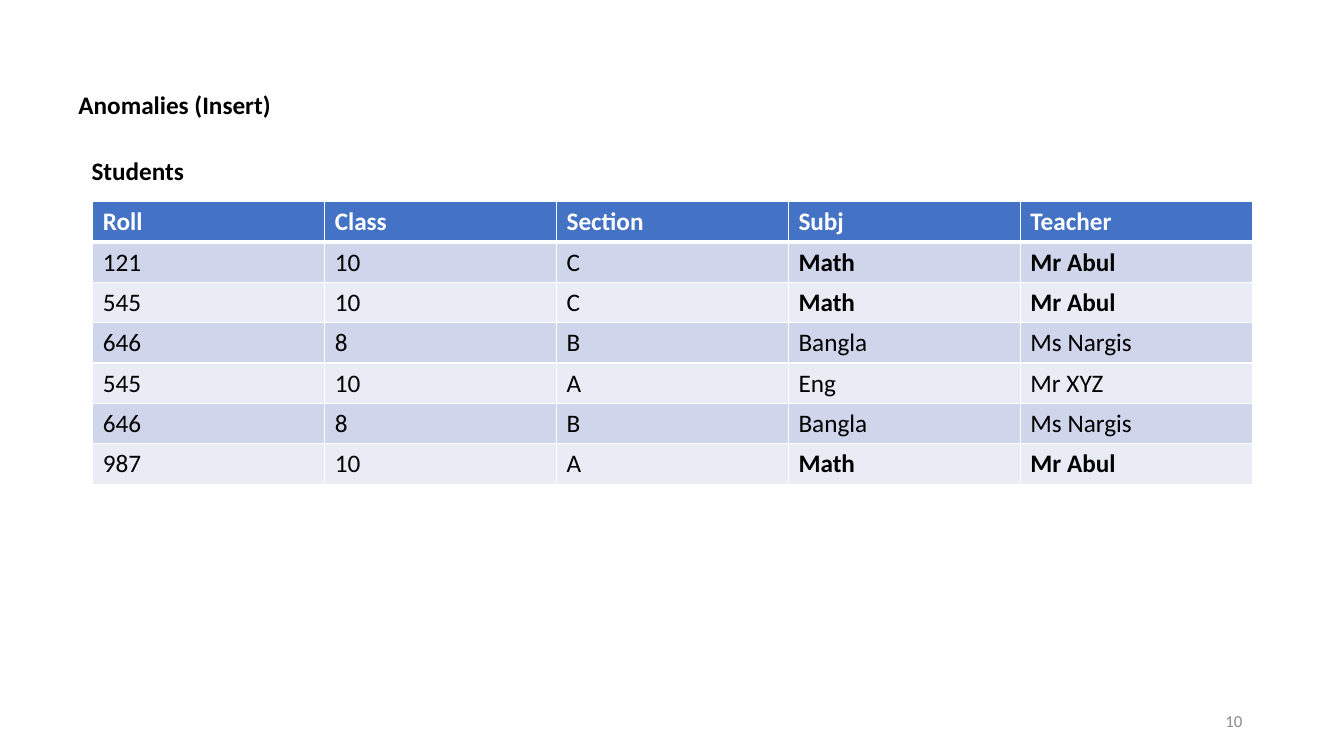
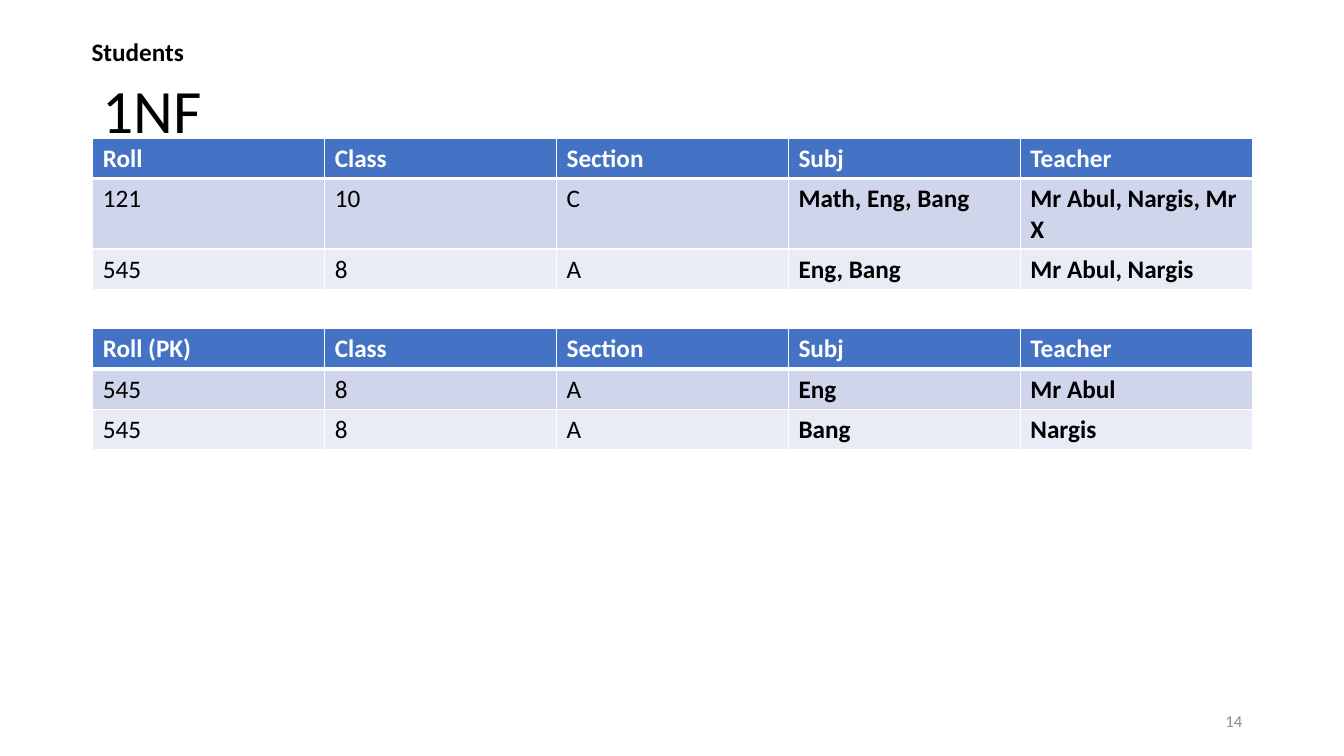
from pptx import Presentation
from pptx.dml.color import RGBColor
from pptx.enum.text import MSO_ANCHOR, PP_ALIGN
from pptx.oxml import parse_xml
from pptx.oxml.ns import nsdecls
from pptx.util import Inches, Pt

FONT = "Calibri"
BLACK, WHITE, GRAY = "000000", "FFFFFF", "8C8C8C"
HEAD, BANDS = "4472C4", ("CFD5EA", "E9EBF5")
LEFT, WIDTH, ROW = 0.92, 11.5, 0.4
FIELDS = ("Roll", "Class", "Section", "Subj", "Teacher")


def write(frame, text, size=18, color=BLACK, bold=False):
    para = frame.paragraphs[0]
    run = para.add_run()
    run.text = text
    font = run.font
    font.name, font.size, font.bold = FONT, Pt(size), bold
    font.color.rgb = RGBColor.from_string(color)
    return para


def grid(slide, top, rows, strong):
    """Add a banded table; subject and teacher are bold in the strong rows."""
    count = len(rows[0])
    table = slide.shapes.add_table(
        len(rows), count, Inches(LEFT), Inches(top),
        Inches(WIDTH), Inches(ROW * len(rows))).table
    for column in table.columns:
        column.width = Inches(WIDTH / count)
    for r, row in enumerate(rows):
        table.rows[r].height = Inches(ROW)
        for c, text in enumerate(row):
            cell = table.cell(r, c)
            edges = {"L": 1, "R": 1, "T": 3 if r == 1 else 1, "B": 3 if r == 0 else 1}
            for side, points in edges.items():
                cell._tc.get_or_add_tcPr().append(parse_xml(
                    f'<a:ln{side} {nsdecls("a")} w="{Pt(points)}"><a:solidFill>'
                    f'<a:srgbClr val="{WHITE}"/></a:solidFill></a:ln{side}>'))
            cell.fill.solid()
            shade = HEAD if r == 0 else BANDS[(r - 1) % 2]
            cell.fill.fore_color.rgb = RGBColor.from_string(shade)
            write(cell.text_frame, text, color=WHITE if r == 0 else BLACK,
                  bold=r == 0 or (r in strong and c >= 3))


students = [
    FIELDS,
    ("121", "10", "C", "Math", "Mr Abul"),
    ("545", "10", "C", "Math", "Mr Abul"),
    ("646", "8", "B", "Bangla", "Ms Nargis"),
    ("545", "10", "A", "Eng", "Mr XYZ"),
    ("646", "8", "B", "Bangla", "Ms Nargis"),
    ("987", "10", "A", "Math", "Mr Abul"),
]
lists = [
    FIELDS,
    ("121", "10", "C", "Math, Eng, Bang", "Mr Abul, Nargis, Mr X"),
    ("545", "8", "A", "Eng, Bang", "Mr Abul, Nargis"),
]
atoms = [
    ("Roll (PK)", *FIELDS[1:]),
    ("545", "8", "A", "Eng", "Mr Abul"),
    ("545", "8", "A", "Bang", "Nargis"),
]

# Each page: number, labels (text, left, top), title, tables (top, rows, bold rows)
pages = [
    ("10", [("Students", 0.81, 1.49), ("Anomalies (Insert)", 0.68, 0.84)], None,
     [(2, students, {1, 2, 6})]),
    ("14", [("Students", 0.81, 0.31)], "1NF",
     [(1.37, lists, {1, 2}), (3.26, atoms, {1, 2})]),
]

deck = Presentation()
deck.slide_width, deck.slide_height = Inches(13.33), Inches(7.5)

for number, labels, title, tables in pages:
    slide = deck.slides.add_slide(deck.slide_layouts[6])
    boxes = [(number, (9.42, 6.95, 3, 0.4), 12, GRAY, False)]
    if title:
        boxes.append((title, (LEFT, 0.4, WIDTH, 1.45), 44, BLACK, False))
    for text, left, top in labels:
        boxes.append((text, (left, top, 4.52, 0.4), 18, BLACK, True))

    for text, place, size, color, bold in boxes:
        frame = slide.shapes.add_textbox(*map(Inches, place)).text_frame
        frame.word_wrap = True
        frame.vertical_anchor = MSO_ANCHOR.MIDDLE
        para = write(frame, text, size, color, bold)
        if text == number:
            para.alignment = PP_ALIGN.RIGHT
        elif text == title:
            para.line_spacing = 0.9

    for top, rows, strong in tables:
        grid(slide, top, rows, strong)

deck.save("out.pptx")
